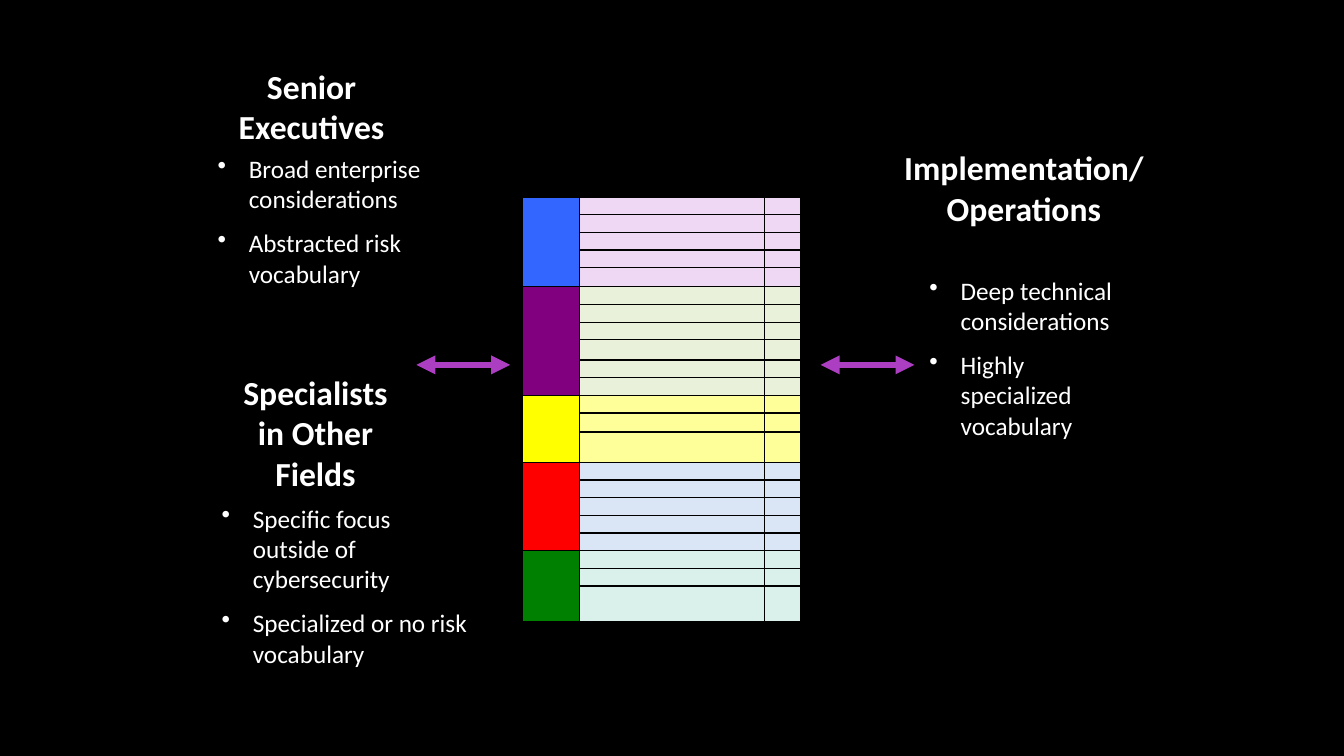
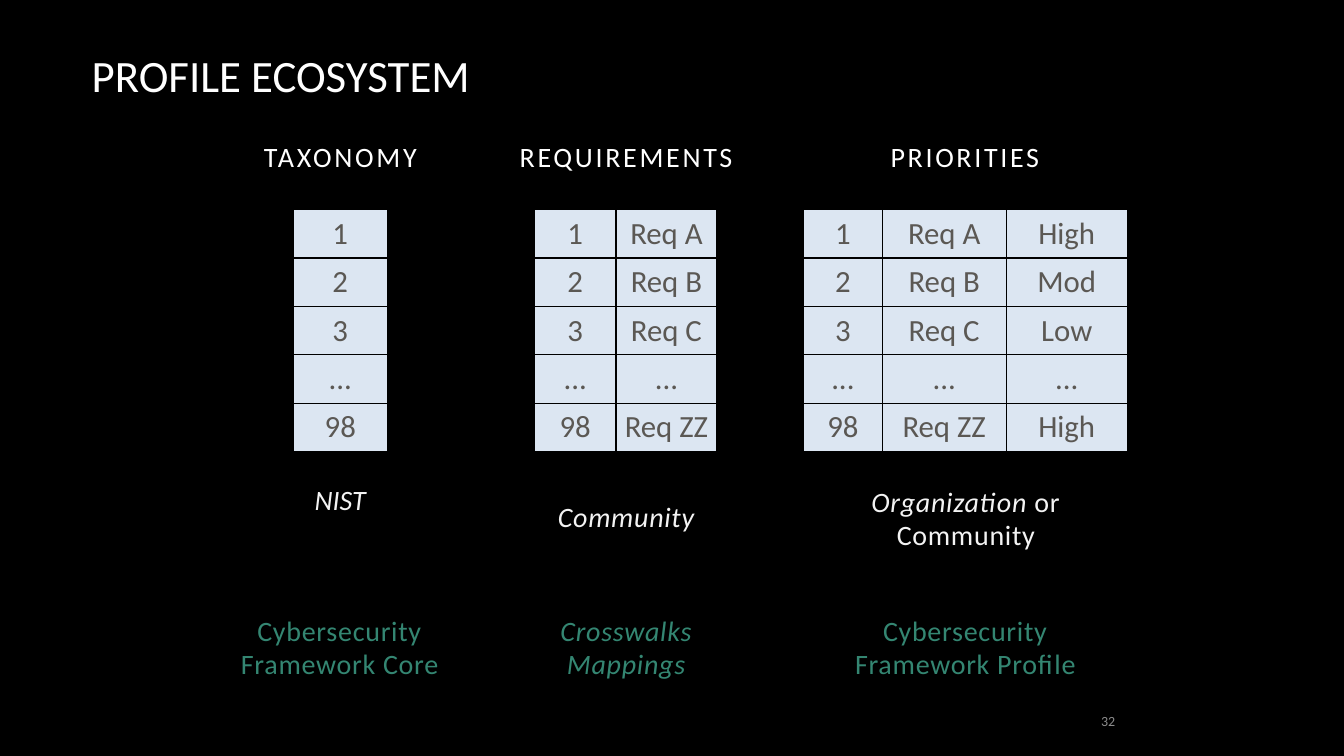
from lxml import etree
from pptx import Presentation
from pptx.dml.color import RGBColor
from pptx.enum.shapes import MSO_CONNECTOR
from pptx.enum.text import MSO_ANCHOR, PP_ALIGN
from pptx.oxml.ns import qn
from pptx.util import Inches, Pt

STRAIGHT = MSO_CONNECTOR.STRAIGHT
LEFT, CENTER, RIGHT = PP_ALIGN.LEFT, PP_ALIGN.CENTER, PP_ALIGN.RIGHT
TOP, MIDDLE, BOTTOM = MSO_ANCHOR.TOP, MSO_ANCHOR.MIDDLE, MSO_ANCHOR.BOTTOM

FONT = "Calibri"
BLACK = RGBColor(0x00, 0x00, 0x00)
WHITE = RGBColor(0xFF, 0xFF, 0xFF)
OFF_WHITE = RGBColor(0xF3, 0xF3, 0xF3)
GRAY = RGBColor(0x8C, 0x8C, 0x8C)
CELL_TEXT = RGBColor(0x5B, 0x58, 0x54)
CELL_FILL = RGBColor(0xDC, 0xE6, 0xF2)
TEAL = RGBColor(0x34, 0x86, 0x72)
ARROW = RGBColor(0xAC, 0x3E, 0xC1)

# Framework functions: strong colour, pale colour, number of rows
FUNCTIONS = [
    (RGBColor(0x33, 0x66, 0xFF), RGBColor(0xEE, 0xD8, 0xF3), 5),
    (RGBColor(0x80, 0x00, 0x80), RGBColor(0xE9, 0xF1, 0xDB), 6),
    (RGBColor(0xFF, 0xFF, 0x00), RGBColor(0xFF, 0xFF, 0x99), 3),
    (RGBColor(0xFF, 0x00, 0x00), RGBColor(0xDA, 0xE5, 0xF6), 5),
    (RGBColor(0x00, 0x80, 0x00), RGBColor(0xD9, 0xF0, 0xEB), 3),
]
CORE_HEIGHT = 4.39
TALL_ROWS = {5: 0.19, 9: 0.2, 13: 0.19, 14: 0.3, 22: 0.35}

PROFILE_COLUMNS = [
    ["1", "2", "3", "...", "98"],
    ["Req A", "Req B", "Req C", "...", "Req ZZ"],
    ["High", "Mod", "Low", "...", "High"],
]


def set_font(paragraph, size, color, bold=False):
    font = paragraph.font
    font.name, font.size, font.bold = FONT, Pt(size), bold
    font.color.rgb = color


def add_text(slide, box, paragraphs, size, color, align=LEFT, anchor=TOP,
             bold=False, inset=None, spacing=0, bullets=False):
    """Each paragraph is a list of (text, italic) runs."""
    frame = slide.shapes.add_textbox(*map(Inches, box)).text_frame
    frame.word_wrap = True
    frame.vertical_anchor = anchor
    if inset is not None:
        set_margins(frame, inset, inset)
    for index, runs in enumerate(paragraphs):
        paragraph = frame.add_paragraph() if index else frame.paragraphs[0]
        paragraph.alignment = align
        if bullets:
            add_bullet(paragraph)
        set_font(paragraph, size, color, bold)
        for text, italic in runs:
            run = paragraph.add_run()
            run.text = text
            run.font.italic = italic
            if spacing:
                run._r.get_or_add_rPr().set("spc", str(round(spacing * 100)))


def add_bullet(paragraph):
    properties = paragraph._p.get_or_add_pPr()
    properties.set("marL", str(Inches(0.31)))
    properties.set("indent", str(-Inches(0.31)))
    etree.SubElement(properties, qn("a:buChar")).set("char", "•")
    paragraph.space_after = Pt(10)


def set_margins(frame, side, end):
    frame.margin_left = frame.margin_right = Inches(side)
    frame.margin_top = frame.margin_bottom = Inches(end)


def add_arrow(slide, left, right, y):
    arrow = slide.shapes.add_connector(
        STRAIGHT, Inches(left), Inches(y), Inches(right), Inches(y))
    arrow.line.color.rgb = ARROW
    arrow.line.width = Pt(4.5)
    line = arrow.line._get_or_add_ln()
    for end in ("a:headEnd", "a:tailEnd"):
        etree.SubElement(line, qn(end)).set("type", "triangle")
    etree.SubElement(arrow._element.spPr, qn("a:effectLst"))


def add_grid(slide, left, top, widths, heights):
    frame = slide.shapes.add_table(
        len(heights), len(widths), Inches(left), Inches(top),
        Inches(sum(widths)), Inches(sum(heights)))
    grid = frame.table
    grid.first_row = grid.horz_banding = False
    for column, width in zip(grid.columns, widths):
        column.width = Inches(width)
    for row, height in zip(grid.rows, heights):
        row.height = Inches(height)
    return grid


def style_cell(cell, fill):
    properties = cell._tc.get_or_add_tcPr()
    for side in ("a:lnL", "a:lnR", "a:lnT", "a:lnB"):
        line = etree.SubElement(properties, qn(side), w=str(Pt(1)))
        solid = etree.SubElement(line, qn("a:solidFill"))
        etree.SubElement(solid, qn("a:srgbClr")).set("val", str(BLACK))
    cell.fill.solid()
    cell.fill.fore_color.rgb = fill


def add_core_table(slide):
    """Colour map of the framework core, with a black header row."""
    row_count = 1 + sum(count for _, _, count in FUNCTIONS)
    regular = ((CORE_HEIGHT - sum(TALL_ROWS.values()))
               / (row_count - len(TALL_ROWS)))
    heights = [TALL_ROWS.get(row, regular) for row in range(row_count)]
    grid = add_grid(slide, 5.18, 1.78, [0.57, 1.83, 0.36], heights)
    fills = [(BLACK, BLACK)]
    for strong, pale, count in FUNCTIONS:
        first = len(fills)
        fills += [(strong, pale)] * count
        grid.cell(first, 0).merge(grid.cell(first + count - 1, 0))
    for row, (strong, pale) in enumerate(fills):
        for column, fill in enumerate((strong, pale, pale)):
            cell = grid.cell(row, column)
            set_margins(cell, 0, 0)
            # Small empty text keeps the rows low
            paragraph = cell.text_frame.paragraphs[0]._p
            etree.SubElement(paragraph, qn("a:endParaRPr")).set("sz", "600")
            style_cell(cell, fill)


def add_profile_table(slide, left, widths):
    grid = add_grid(slide, left, 2.08, widths, [0.48] * 5)
    for column, texts in enumerate(PROFILE_COLUMNS[:len(widths)]):
        for row, text in enumerate(texts):
            cell = grid.cell(row, column)
            cell.text = text
            cell.vertical_anchor = MIDDLE
            set_margins(cell, 0.06, 0.05)
            paragraph = cell.text_frame.paragraphs[0]
            paragraph.alignment = CENTER
            set_font(paragraph, 22, CELL_TEXT)
            style_cell(cell, CELL_FILL)


def add_title(slide, text):
    title = slide.shapes.title
    title.left, title.top, title.width, title.height = map(
        Inches, (0.81, 0.33, 10.73, 0.83))
    title.text_frame.text = text
    title.text_frame.vertical_anchor = MIDDLE
    paragraph = title.text_frame.paragraphs[0]
    paragraph.alignment = LEFT
    set_font(paragraph, 32, WHITE)


def build_audiences(slide):
    add_core_table(slide)
    audiences = [
        ("Senior Executives", (2.14, 0.6, 1.9, 0.91), (2.06, 1.47, 2.43, 1.45),
         ["Broad enterprise considerations", "Abstracted risk vocabulary"]),
        ("Implementation/ Operations", (8.82, 1.41, 2.67, 0.91),
         (9.12, 2.68, 2.22, 1.76),
         ["Deep technical considerations", "Highly specialized vocabulary"]),
        ("Specialists in Other Fields", (2.18, 3.64, 1.9, 1.31),
         (2.1, 4.94, 2.66, 1.76),
         ["Specific focus outside of cybersecurity",
          "Specialized or no risk vocabulary"]),
    ]
    for heading, heading_box, points_box, points in audiences:
        add_text(slide, heading_box, [[(heading, False)]], 24, WHITE,
                 CENTER, bold=True)
        add_text(slide, points_box, [[(point, False)] for point in points],
                 18, WHITE, bullets=True)
    for left in (4.13, 8.14):
        add_arrow(slide, left, left + 0.93, 3.62)


def build_ecosystem(slide):
    add_title(slide, "PROFILE ECOSYSTEM")
    for left, widths in ((2.91, [0.93]), (5.3, [0.81, 1]),
                         (7.97, [0.78, 1.23, 1.2])):
        add_profile_table(slide, left, widths)

    # Column headings
    add_text(slide, (2.28, 1.33, 2.19, 0.55), [[("TAXONOMY", False)]],
             20, WHITE, CENTER, spacing=1.9)
    for heading, left in (("REQUIREMENTS", 4.97), ("PRIORITIES", 8.33)):
        add_text(slide, (left, 1.33, 2.48, 0.45), [[(heading, False)]],
                 20, WHITE, CENTER, BOTTOM, inset=0.06, spacing=1.9)

    # Owners and resulting documents
    add_text(slide, (2.04, 4.74, 2.67, 0.88), [[("NIST", True)]],
             20, OFF_WHITE, CENTER)
    captions = [
        ((4.96, 4.9, 2.5, 0.45), OFF_WHITE, [[("Community", True)]]),
        ((8.47, 4.74, 2.22, 0.79), OFF_WHITE,
         [[("Organization", True), (" or Community", False)]]),
        ((2.15, 6.02, 2.44, 0.79), TEAL,
         [[("Cybersecurity Framework Core", False)]]),
        ((5.08, 6.02, 2.26, 0.79), TEAL,
         [[("Crosswalks", True)], [("Mappings", True)]]),
        ((8.08, 6.02, 2.99, 0.79), TEAL,
         [[("Cybersecurity Framework Profile", False)]]),
    ]
    for box, color, paragraphs in captions:
        add_text(slide, box, paragraphs, 20, color, CENTER, MIDDLE,
                 inset=0.06, spacing=0.5)

    # Slide number
    add_text(slide, (8.83, 6.95, 2.33, 0.4), [[("32", False)]],
             10, GRAY, RIGHT, MIDDLE)


def main():
    deck = Presentation()
    deck.slide_width, deck.slide_height = Inches(13.33), Inches(7.5)
    backdrop = deck.slide_master.background.fill
    backdrop.solid()
    backdrop.fore_color.rgb = BLACK
    title_only, blank = deck.slide_layouts[5], deck.slide_layouts[6]
    build_audiences(deck.slides.add_slide(blank))
    build_ecosystem(deck.slides.add_slide(title_only))
    deck.save("out.pptx")


if __name__ == "__main__":
    main()
